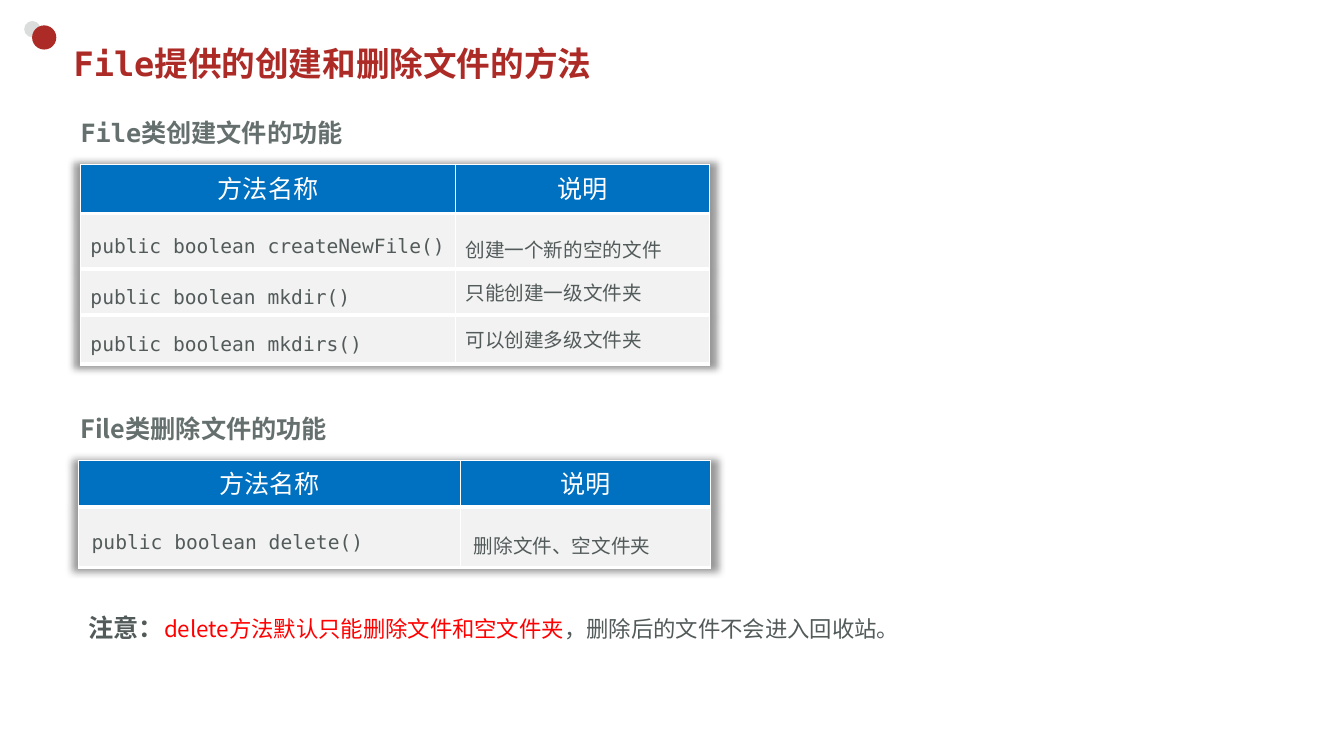
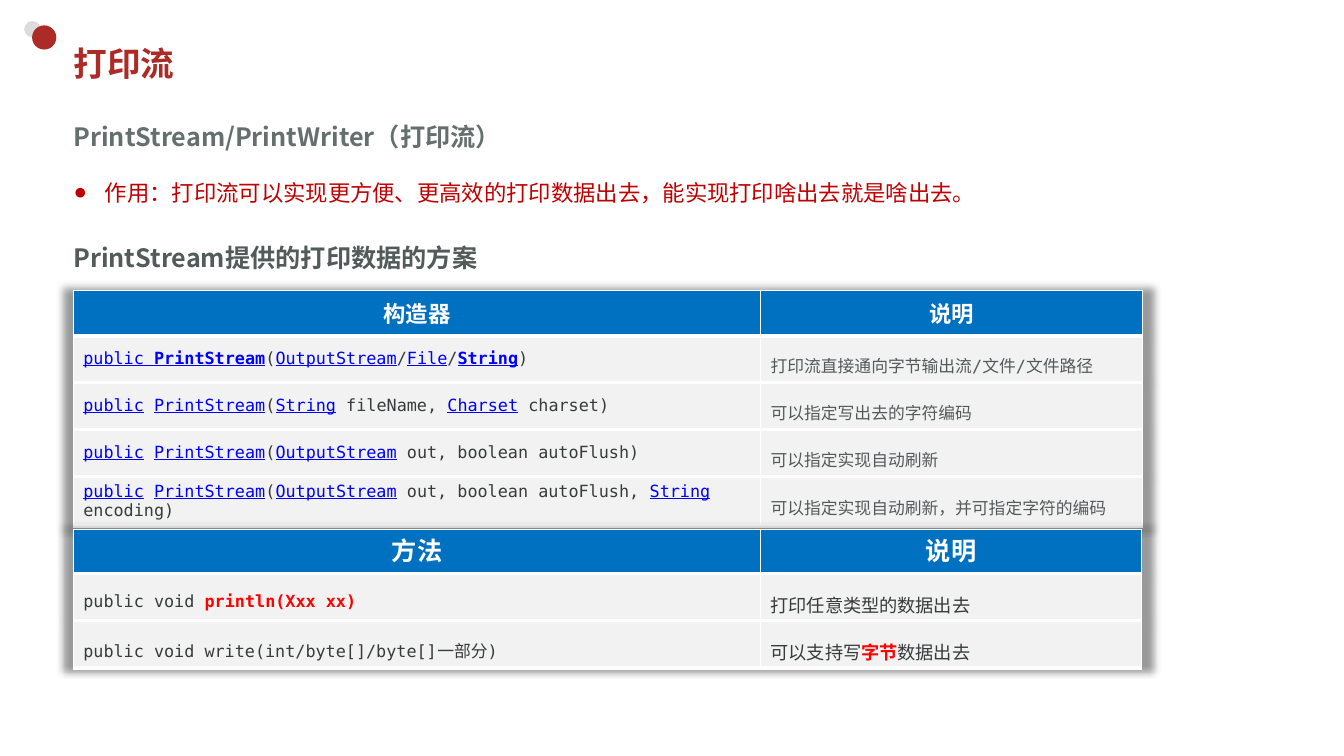
from dataclasses import dataclass
from typing import Any

from lxml.etree import SubElement
from pptx import Presentation
from pptx.dml.color import RGBColor
from pptx.enum.shapes import MSO_SHAPE
from pptx.enum.text import MSO_ANCHOR, MSO_AUTO_SIZE, PP_ALIGN
from pptx.oxml import parse_xml
from pptx.oxml.ns import nsdecls, qn
from pptx.util import Cm, Pt

MONO, ARIAL = "DejaVu Sans Mono", "Arial"
JP, SC = "Noto Sans CJK JP", "Noto Sans CJK SC"
BRAND, DOT_GREY, WHITE, RED = "AD2B26", "DADDDC", "FFFFFF", "FF0000"
HEADER_FILL, ROW_FILL = "0070C0", "F2F2F2"
SLATE, GREY, DARK, CRIMSON, LINK = "65706E", "525B5A", "363C3B", "C00000", "0000FF"


def fmt(name: str, size: float, color: str, bold: bool = False, underline: bool = False) -> dict[str, Any]:
    return {"name": name, "size": Pt(size), "color": color, "bold": bold, "underline": underline}


TITLE = fmt(MONO, 24, BRAND, True)
HEADING = fmt(JP, 18, SLATE, True)
CODE14, TEXT14 = fmt(MONO, 14, GREY), fmt(JP, 14, GREY)
CODE12, LINK12 = fmt(MONO, 12, DARK), fmt(MONO, 12, LINK, underline=True)
DESC12, TEXT13 = fmt(MONO, 12, GREY), fmt(JP, 13, DARK)


@dataclass
class Run:
    text: str
    style: dict[str, Any]


@dataclass
class Para:
    runs: list[Run]
    spacing: Any = 1.0
    align: PP_ALIGN = PP_ALIGN.LEFT


@dataclass
class Grid:
    left: float
    top: float
    cols: list[float]
    heights: list[float]
    rows: list[list[Para]]
    margins: tuple[float, float] = (0.25, 0.13)


def rgb(color: str) -> RGBColor:
    return RGBColor.from_string(color)


def para(text: str, style: dict[str, Any], spacing: Any = 1.0) -> Para:
    return Para([Run(text, style)], spacing)


def header(labels: list[str], size: float, bold: bool, spacing: Any = Pt(24)) -> list[Para]:
    return [Para([Run(t, fmt(ARIAL, size, WHITE, bold))], spacing, PP_ALIGN.CENTER) for t in labels]


def linked(text: str) -> Para:
    parts = enumerate(text.split("|"))
    return Para([Run(t, LINK12 if i % 2 else CODE12) for i, t in parts if t])


def write(p: Any, content: Para) -> None:
    values = {"alignment": content.align, "line_spacing": content.spacing, "space_before": Pt(0)}
    for key, value in values.items():
        setattr(p, key, value)
    for run in content.runs:
        r = p.add_run()
        r.text = run.text
        for key, value in run.style.items():
            if key == "color":
                r.font.color.rgb = rgb(value)
            else:
                setattr(r.font, key, value)
        name = run.style["name"]
        ea = SubElement(r._r.get_or_add_rPr(), qn("a:ea"))
        ea.set("typeface", name if name in (JP, SC) else SC)


def add_text(s: Any, box: tuple[float, ...], content: Para) -> None:
    tf = s.shapes.add_textbox(*map(Cm, box)).text_frame
    tf.word_wrap = True
    tf.auto_size = MSO_AUTO_SIZE.SHAPE_TO_FIT_TEXT
    write(tf.paragraphs[0], content)


def set_borders(cell: Any, top: int) -> None:
    tcPr = cell._tc.get_or_add_tcPr()
    for side, width in {"L": 1, "R": 1, "T": top, "B": 3}.items():
        tcPr.append(parse_xml(
            f'<a:ln{side} {nsdecls("a")} w="{Pt(width)}"><a:solidFill>'
            f'<a:srgbClr val="{WHITE}"/></a:solidFill></a:ln{side}>'))


def add_grid(s: Any, grid: Grid) -> None:
    size = (sum(grid.cols), sum(grid.heights))
    frame = s.shapes.add_table(len(grid.rows), len(grid.cols), *map(Cm, (grid.left, grid.top, *size)))
    table = frame.table
    table.horz_banding = False
    table._tbl.tblPr.insert(0, parse_xml(
        f'<a:effectLst {nsdecls("a")}><a:outerShdw blurRad="63500" sx="102000" sy="102000" '
        'algn="ctr" rotWithShape="0"><a:prstClr val="black"><a:alpha val="40000"/>'
        '</a:prstClr></a:outerShdw></a:effectLst>'))
    for col, width in zip(table.columns, grid.cols):
        col.width = Cm(width)
    for i, (height, row) in enumerate(zip(grid.heights, grid.rows)):
        table.rows[i].height = Cm(height)
        side, edge = grid.margins if i else (0.25, 0.13)
        for j, content in enumerate(row):
            cell = table.cell(i, j)
            values = {"margin_left": Cm(side), "margin_right": Cm(side), "margin_top": Cm(edge),
                      "margin_bottom": Cm(edge), "vertical_anchor": MSO_ANCHOR.MIDDLE}
            for key, value in values.items():
                setattr(cell, key, value)
            set_borders(cell, 3 if i else 1)
            cell.fill.solid()
            cell.fill.fore_color.rgb = rgb(ROW_FILL if i else HEADER_FILL)
            write(cell.text_frame.paragraphs[0], content)


def place(shape: Any, box: tuple[float, ...]) -> None:
    for key, value in zip(("left", "top", "width", "height"), box):
        setattr(shape, key, Cm(value))


def add_slide(prs: Any, layout: int, title: str) -> Any:
    s = prs.slides.add_slide(prs.slide_layouts[layout])
    tf = s.shapes.title.text_frame
    tf.auto_size = MSO_AUTO_SIZE.NONE
    tf.vertical_anchor = MSO_ANCHOR.MIDDLE
    write(tf.paragraphs[0], para(title, TITLE))
    return s


def style_master(prs: Any, s: Any) -> None:
    master = prs.slide_master
    place(master.placeholders[0], (1.6, 0.94, 29.85, 1.32))
    for left, top, size, color in ((0.61, 0.53, 0.41, DOT_GREY), (0.81, 0.64, 0.61, BRAND)):
        dot = s.shapes.add_shape(MSO_SHAPE.OVAL, *map(Cm, (left, top, size, size)))
        dot.shadow.inherit = False
        dot.fill.solid()
        dot.fill.fore_color.rgb = rgb(color)
        dot.line.fill.background()
        master.shapes.element.append(dot.element)


def set_bullet(p: Any, char: str, indent: float) -> None:
    pPr = p._p.get_or_add_pPr()
    pPr.set("marL", str(Cm(indent)))
    pPr.set("indent", str(-Cm(indent)))
    if char:
        SubElement(pPr, qn("a:buChar")).set("char", char)
    else:
        SubElement(pPr, qn("a:buNone"))


def fill_file_slide(s: Any) -> None:
    add_text(s, (1.78, 2.06, 26.29, 1.6), para("File类创建文件的功能", {**HEADING, "name": MONO}, 2.0))
    add_grid(s, Grid(2.03, 4.14, [9.45, 6.4], [1.24, 1.4, 1.13, 1.24], [
        header(["方法名称", "说明"], 18, False),
        [para("public boolean createNewFile()", CODE14, 1.5), para("创建一个新的空的文件", TEXT14, 1.5)],
        [para("public boolean mkdir()", CODE14, 1.5), para("只能创建一级文件夹", TEXT14)],
        [para("public boolean mkdirs()", CODE14, 1.5), para("可以创建多级文件夹", TEXT14)],
    ]))
    add_text(s, (1.78, 10.29, 26.29, 1.02), para("File类删除文件的功能", HEADING))
    add_grid(s, Grid(1.98, 11.61, [9.63, 6.3], [1.17, 1.52], [
        header(["方法名称", "说明"], 18, False),
        [para("public boolean delete()", CODE14, 1.5),
         para("删除文件、空文件夹", {**TEXT14, "name": SC}, 1.5)],
    ], (0.33, 0.18)))
    add_text(s, (1.98, 14.55, 27.74, 1.6), Para([
        Run("注意：", fmt(JP, 18, GREY, True)),
        Run("delete方法默认只能删除文件和空文件夹", fmt(JP, 16, RED)),
        Run("，删除后的文件不会进入回收站。", fmt(JP, 16, GREY)),
    ], 2.0))


def fill_print_slide(s: Any) -> None:
    body = s.placeholders[1]
    place(body, (1.6, 2.26, 23.9, 2.97))
    tf = body.text_frame
    tf.auto_size = MSO_AUTO_SIZE.NONE
    tf.vertical_anchor = MSO_ANCHOR.MIDDLE
    items = (("PrintStream/PrintWriter（打印流）", HEADING, "", 0),
             ("作用：打印流可以实现更方便、更高效的打印数据出去，能实现打印啥出去就是啥出去。",
              fmt(JP, 16, CRIMSON), "●", 0.79))
    for i, (text, style, char, indent) in enumerate(items):
        p = tf.add_paragraph() if i else tf.paragraphs[0]
        set_bullet(p, char, indent)
        write(p, para(text, style, 2.0))

    bold_link = {**LINK12, "bold": True}
    add_grid(s, Grid(1.85, 7.32, [17.32, 9.63], [1.14] + [1.04] * 4, [
        header(["构造器", "说明"], 16, True, 1.0),
        [Para([Run("public ", LINK12), Run("PrintStream", bold_link),
               *linked("(|OutputStream|/|File|/").runs, Run("String", bold_link), Run(")", CODE12)]),
         para("打印流直接通向字节输出流/文件/文件路径", DESC12, 1.5)],
        [linked("|public| |PrintStream|(|String| fileName, |Charset| charset)"),
         para("可以指定写出去的字符编码", DESC12, 1.5)],
        [linked("|public| |PrintStream|(|OutputStream| out, boolean autoFlush)"),
         para("可以指定实现自动刷新", DESC12, 1.5)],
        [linked("|public| |PrintStream|(|OutputStream| out, boolean autoFlush, |String| encoding)"),
         para("可以指定实现自动刷新，并可指定字符的编码", DESC12, 1.5)],
    ]))
    add_text(s, (1.6, 5.59, 16.94, 1.3),
             para("PrintStream提供的打印数据的方案", {**HEADING, "color": GREY}, 1.5))
    add_grid(s, Grid(1.85, 13.34, [17.32, 9.6], [1.07, 1.19, 1.19], [
        header(["方法", "说明"], 18, True),
        [Para([Run("public void ", CODE12), Run("println(Xxx xx)", fmt(MONO, 12, RED, True))], 1.5),
         para("打印任意类型的数据出去", TEXT13, 1.5)],
        [para("public void write(int/byte[]/byte[]一部分)", CODE12, 1.5),
         Para([Run("可以支持写", TEXT13), Run("字节", fmt(JP, 13, RED, True)),
               Run("数据出去", TEXT13)], 1.5)],
    ]))


def main() -> None:
    prs = Presentation()
    prs.slide_width, prs.slide_height = Cm(33.87), Cm(19.05)
    s = add_slide(prs, 5, "File提供的创建和删除文件的方法")
    style_master(prs, s)
    fill_file_slide(s)
    fill_print_slide(add_slide(prs, 1, "打印流"))
    prs.save("out.pptx")


if __name__ == "__main__":
    main()
